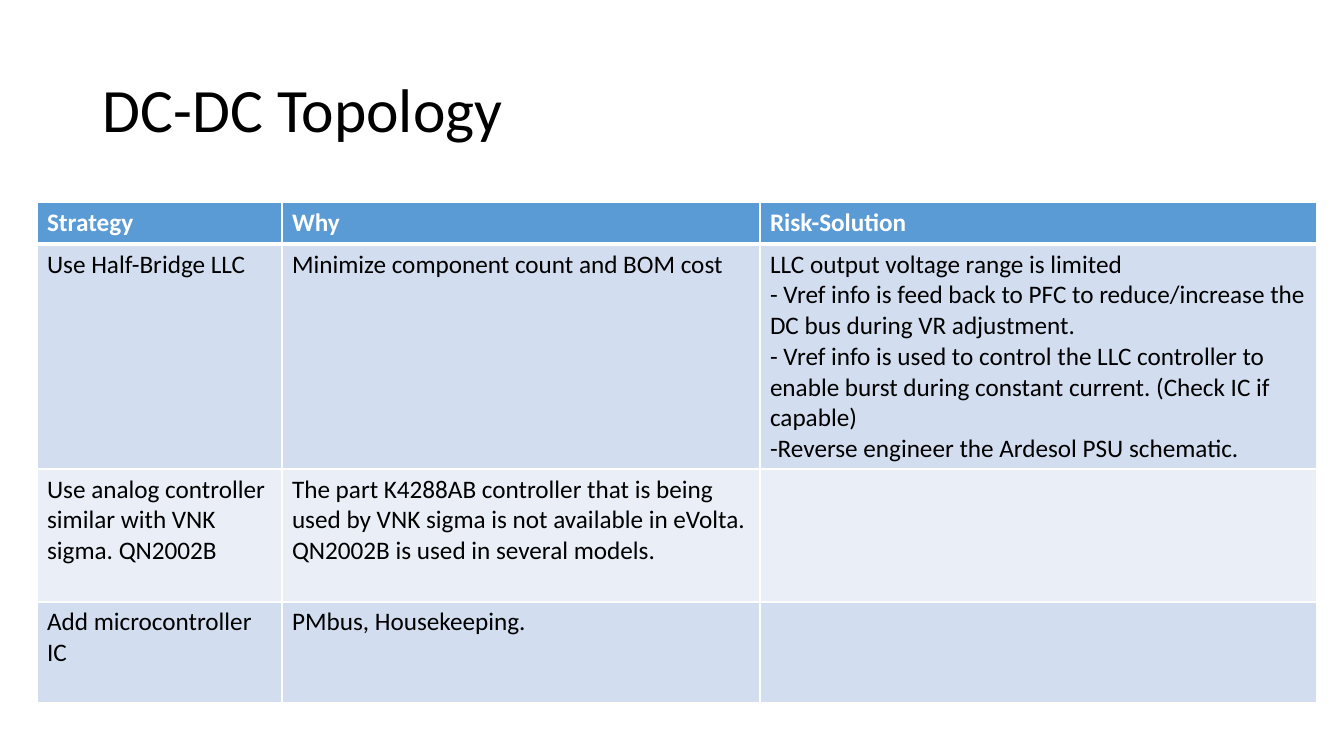
import pptx
import pptx.util
import pptx.dml.color
import pptx.enum.text
import pptx.oxml
import pptx.oxml.ns

RGB = pptx.dml.color.RGBColor
BLACK = RGB(0x00, 0x00, 0x00)
WHITE = RGB(0xFF, 0xFF, 0xFF)
HEADER_BLUE = RGB(0x5B, 0x9B, 0xD5)
BAND_DARK = RGB(0xD2, 0xDE, 0xEF)
BAND_LIGHT = RGB(0xEA, 0xEF, 0xF7)

TITLE = "DC-DC Topology"
ROWS = [
    (["Strategy"], ["Why"], ["Risk-Solution"]),
    (
        ["Use Half-Bridge LLC"],
        ["Minimize component count and BOM cost"],
        [
            "LLC output voltage range is limited",
            "- Vref info is feed back to PFC to reduce/increase the DC bus during VR adjustment.",
            "- Vref info is used to control the LLC controller to enable burst during constant current. (Check IC if capable)",
            "-Reverse engineer the Ardesol PSU schematic.",
        ],
    ),
    (
        ["Use analog controller similar with VNK sigma. QN2002B"],
        [
            "The part K4288AB controller that is being used by VNK sigma is not available in eVolta.",
            "QN2002B is used in several models.",
        ],
        [],
    ),
    (["Add microcontroller IC"], ["PMbus, Housekeeping."], []),
]

SLIDE_SIZE = (1344, 756)
TITLE_BOX = (93, 40, 1159, 146)
TABLE_LEFT, TABLE_TOP = 37, 202
COL_WIDTHS = [245, 478, 557]
ROW_HEIGHTS = [42, 225, 133, 101]

TITLE_FONT = {"name": "Calibri", "size": pptx.util.Pt(44)}
HEADER_FONT = {"name": "Calibri", "size": pptx.util.Pt(18), "bold": True}
BODY_FONT = {"name": "Calibri", "size": pptx.util.Pt(18), "bold": False}


def px(n):
    return pptx.util.Emu(round(n * 914400 / 100.8))


def write(p, text, font, color):
    r = p.add_run()
    r.text = text
    for key, value in font.items():
        setattr(r.font, key, value)
    r.font.color.rgb = color


def set_border(cell, side, points):
    ns = pptx.oxml.ns.nsdecls("a")
    line = pptx.oxml.parse_xml(
        f'<a:{side} {ns} w="{pptx.util.Pt(points)}"><a:solidFill>'
        f'<a:srgbClr val="{WHITE}"/></a:solidFill></a:{side}>'
    )
    cell._tc.get_or_add_tcPr().append(line)


def add_title(slide):
    tf = slide.shapes.add_textbox(*map(px, TITLE_BOX)).text_frame
    tf.word_wrap = True
    tf.vertical_anchor = pptx.enum.text.MSO_ANCHOR.MIDDLE
    p = tf.paragraphs[0]
    p.line_spacing = 0.9
    write(p, TITLE, TITLE_FONT, BLACK)


def fill_cell(cell, lines, row):
    font, color = (BODY_FONT, BLACK) if row else (HEADER_FONT, WHITE)
    tf = cell.text_frame
    for i, line in enumerate(lines):
        p = tf.add_paragraph() if i else tf.paragraphs[0]
        write(p, line, font, color)
    for side in ("lnL", "lnR", "lnT", "lnB"):
        heavy = (row, side) in ((0, "lnB"), (1, "lnT"))
        set_border(cell, side, 3 if heavy else 1)
    cell.fill.solid()
    band = BAND_DARK if row % 2 else BAND_LIGHT
    cell.fill.fore_color.rgb = band if row else HEADER_BLUE


def add_strategy_table(slide):
    box = (TABLE_LEFT, TABLE_TOP, sum(COL_WIDTHS), sum(ROW_HEIGHTS))
    table = slide.shapes.add_table(len(ROWS), len(COL_WIDTHS), *map(px, box)).table
    for column, width in zip(table.columns, COL_WIDTHS):
        column.width = px(width)
    for row, height in zip(table.rows, ROW_HEIGHTS):
        row.height = px(height)
    for i, texts in enumerate(ROWS):
        for j, lines in enumerate(texts):
            fill_cell(table.cell(i, j), lines, i)


def main():
    prs = pptx.Presentation()
    prs.slide_width, prs.slide_height = map(px, SLIDE_SIZE)
    slide = prs.slides.add_slide(prs.slide_layouts[6])
    add_title(slide)
    add_strategy_table(slide)
    prs.save("out.pptx")


if __name__ == "__main__":
    main()
